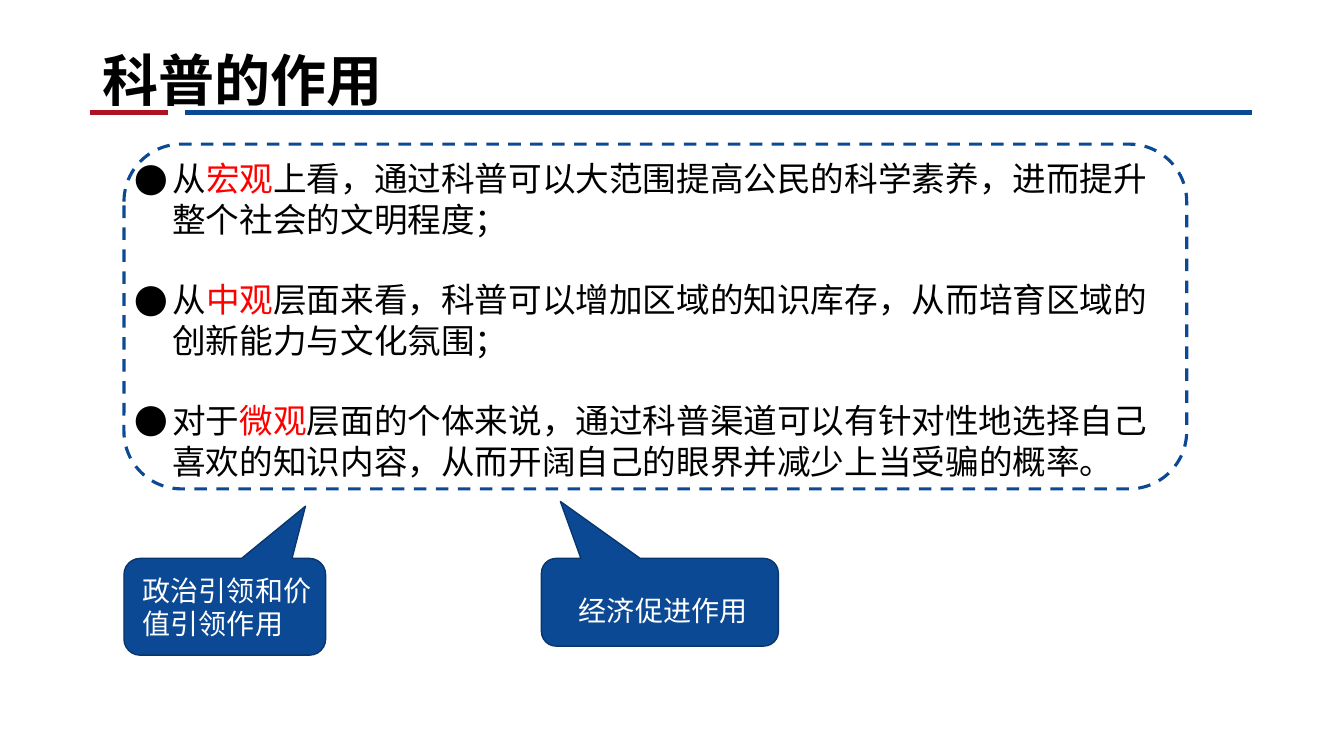
from lxml import etree
from pptx import Presentation
from pptx.dml.color import RGBColor
from pptx.enum.dml import MSO_LINE
from pptx.enum.shapes import MSO_CONNECTOR, MSO_SHAPE
from pptx.enum.text import MSO_ANCHOR, MSO_AUTO_SIZE, PP_ALIGN
from pptx.oxml.ns import qn
from pptx.util import Inches, Pt

STRAIGHT = MSO_CONNECTOR.STRAIGHT
ROUNDED, CALLOUT = MSO_SHAPE.ROUNDED_RECTANGLE, MSO_SHAPE.ROUNDED_RECTANGULAR_CALLOUT
DASH = MSO_LINE.DASH
LEFT, MIDDLE, BOTTOM = PP_ALIGN.LEFT, MSO_ANCHOR.MIDDLE, MSO_ANCHOR.BOTTOM
NO_FIT = MSO_AUTO_SIZE.NONE

BLUE, NAVY, CRIMSON = "0C4994", "09366D", "AE1324"
BLACK, RED, WHITE = "000000", "FF0000", "FFFFFF"
HEADING_FONT, BODY_FONT = "Roboto Condensed", "Noto Sans CJK SC"


def color(value):
    return RGBColor.from_string(value)


def add_span(para, text, size, fill=BLACK, font=BODY_FONT, bold=False):
    span = para.add_run()
    span.text = text
    span.font.name, span.font.size, span.font.bold = font, Pt(size), bold
    span.font.color.rgb = color(fill)
    east_asian = etree.SubElement(span.font._element, qn("a:ea"))
    east_asian.set("typeface", BODY_FONT)


def add_bullet(para, indent):
    properties = para._p.get_or_add_pPr()
    properties.set("marL", str(indent))
    properties.set("indent", str(-indent))
    etree.SubElement(properties, qn("a:buFont")).set("typeface", BODY_FONT)
    etree.SubElement(properties, qn("a:buChar")).set("char", "●")


class SlideBuilder:
    def __init__(self, deck):
        self.page = deck.slides.add_slide(deck.slide_layouts[1])
        self.shapes = self.page.shapes

    def place(self, box, left, top, width, height):
        box.left, box.top = Inches(left), Inches(top)
        box.width, box.height = Inches(width), Inches(height)
        box.text_frame.word_wrap = True
        box.text_frame.auto_size = NO_FIT

    def title(self, text, *area):
        box = self.shapes.title
        self.place(box, *area)
        frame = box.text_frame
        frame.vertical_anchor, frame.margin_bottom = BOTTOM, 0
        para = frame.paragraphs[0]
        para.alignment, para.line_spacing = LEFT, Pt(48)
        add_span(para, text, 40, font=HEADING_FONT, bold=True)

    def points(self, items, *area):
        box = self.page.placeholders[1]
        self.place(box, *area)
        frame = box.text_frame
        for index, (before, level, after) in enumerate(items):
            para = frame.add_paragraph() if index else frame.paragraphs[0]
            para.line_spacing = Pt(28.8)
            para.space_before = Pt(28.8 if index else 0)
            add_bullet(para, Inches(0.38))
            add_span(para, before, 24)
            add_span(para, level, 24, RED)
            add_span(para, after, 24)

    def rule(self, start, end, top, stroke):
        line = self.shapes.add_connector(
            STRAIGHT, Inches(start), Inches(top), Inches(end), Inches(top))
        line.line.color.rgb, line.line.width = color(stroke), Pt(3.5)
        etree.SubElement(line._element.spPr, qn("a:effectLst"))

    def outline(self, *area):
        box = self.shapes.add_shape(ROUNDED, *map(Inches, area))
        box.shadow.inherit = False
        box.fill.background()
        box.line.color.rgb, box.line.width = color(BLUE), Pt(2.25)
        box.line.dash_style = DASH

    def callout(self, text, area, tip, margins):
        box = self.shapes.add_shape(CALLOUT, *map(Inches, area))
        box.shadow.inherit = False
        box.adjustments[0], box.adjustments[1] = tip
        box.fill.solid()
        box.fill.fore_color.rgb = color(BLUE)
        box.line.color.rgb, box.line.width = color(NAVY), Pt(1)
        frame = box.text_frame
        frame.word_wrap, frame.vertical_anchor = True, MIDDLE
        (frame.margin_left, frame.margin_top,
         frame.margin_right, frame.margin_bottom) = map(Inches, margins)
        para = frame.paragraphs[0]
        para.alignment, para.line_spacing = LEFT, Pt(24)
        add_span(para, text, 20, WHITE)


def main():
    deck = Presentation()
    deck.slide_width, deck.slide_height = Inches(13.33), Inches(7.5)
    slide = SlideBuilder(deck)

    # Heading with its two-colour rule
    slide.title("科普的作用", 0.92, 0, 11.5, 1.12)
    slide.rule(0.89, 1.67, 1.12, CRIMSON)
    slide.rule(1.84, 12.42, 1.12, BLUE)

    # Three levels of effect in a dashed frame
    slide.points([
        ("从", "宏观", "上看，通过科普可以大范围提高公民的科学素养，进而提升整个社会的文明程度；"),
        ("从", "中观", "层面来看，科普可以增加区域的知识库存，从而培育区域的创新能力与文化氛围；"),
        ("对于", "微观", "层面的个体来说，通过科普渠道可以有针对性地选择自己喜欢的知识内容，"
         "从而开阔自己的眼界并减少上当受骗的概率。"),
    ], 1.23, 1.52, 10.31, 3.33)
    slide.outline(1.23, 1.43, 10.54, 3.42)

    # Callouts pointing up at the frame
    slide.callout("政治引领和价值引领作用", (1.23, 5.54, 2, 0.96),
                  (0.4, -1.04), (0.14, 0.05, 0.05, 0.05))
    slide.callout("经济促进作用", (5.37, 5.54, 2.35, 0.87),
                  (-0.42, -1.15), (0.33, 0.15, 0.05, 0))

    deck.save("out.pptx")


if __name__ == "__main__":
    main()
